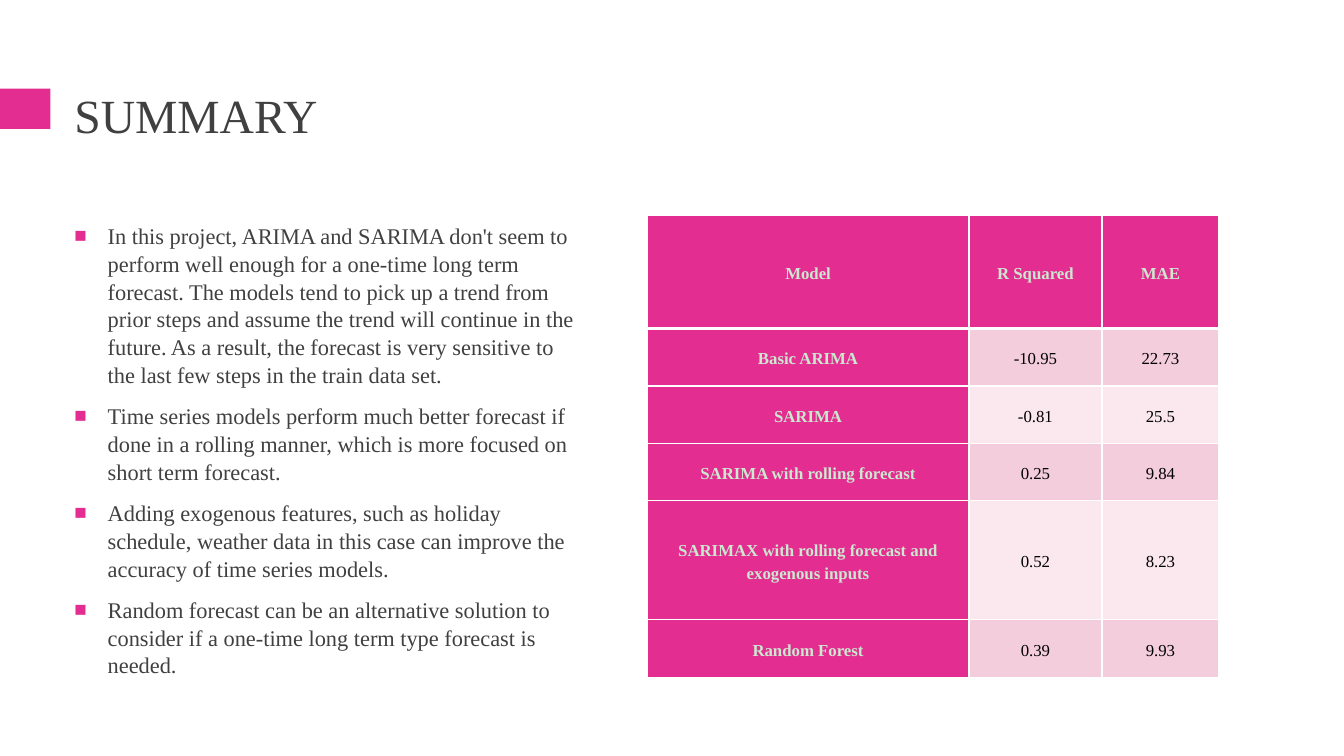
from lxml import etree
from pptx import Presentation
from pptx.dml.color import RGBColor
from pptx.enum.shapes import MSO_SHAPE
from pptx.enum.text import MSO_ANCHOR, PP_ALIGN
from pptx.oxml.ns import qn
from pptx.util import Inches, Pt

MIDDLE, TOP = MSO_ANCHOR.MIDDLE, MSO_ANCHOR.TOP
CENTER, LEFT = PP_ALIGN.CENTER, PP_ALIGN.LEFT
RECTANGLE = MSO_SHAPE.RECTANGLE

TITLE = "SUMMARY"
FINDINGS = [
    "In this project, ARIMA and SARIMA don't seem to perform well enough for a "
    "one-time long term forecast. The models tend to pick up a trend from prior "
    "steps and assume the trend will continue in the future. As a result, the "
    "forecast is very sensitive to the last few steps in the train data set.",
    "Time series models perform much better forecast if done in a rolling manner, "
    "which is more focused on short term forecast.",
    "Adding exogenous features, such as holiday schedule, weather data in this case "
    "can improve the accuracy of time series models.",
    "Random forecast can be an alternative solution to consider if a one-time long "
    "term type forecast is needed.",
]
SCORES = [
    ("Model", "R Squared", "MAE"),
    ("Basic ARIMA", "-10.95", "22.73"),
    ("SARIMA", "-0.81", "25.5"),
    ("SARIMA with rolling forecast", "0.25", "9.84"),
    ("SARIMAX with rolling forecast and exogenous inputs", "0.52", "8.23"),
    ("Random Forest", "0.39", "9.93"),
]
COLORS = {
    "accent": "E32D91", "text": "404040", "heading": "CCE8CF", "value": "000000",
    "odd": "F4CDDC", "even": "FAE8EE", "paper": "FFFFFF",
}
FONT = "Times New Roman"
MARGIN, CONTENT_TOP = 0.64, 2.14
TABLE_LEFT = 6.42
COLUMN_WIDTHS = (3.19, 1.32, 1.16)
ROW_HEIGHT = 0.57
TALL_ROWS = {0: 1.12, 4: 1.18}
INDENT = Inches(0.33)


def rgb(name):
    """Return the palette colour of that name."""
    return RGBColor.from_string(COLORS[name])


def write(paragraph, text, size, color, bold=False, align=LEFT):
    """Fill a paragraph and set its font."""
    paragraph.text = text
    paragraph.alignment = align
    font = paragraph.font
    font.name, font.size, font.bold = FONT, Pt(size), bold
    font.color.rgb = rgb(color)


def space(paragraph, before, after, lines):
    """Set the gaps around a paragraph and between its lines."""
    paragraph.space_before, paragraph.space_after = Pt(before), Pt(after)
    paragraph.line_spacing = lines


def add_box(slide, box, anchor):
    """Add a wrapping text box and return its text frame."""
    frame = slide.shapes.add_textbox(*map(Inches, box)).text_frame
    frame.word_wrap, frame.vertical_anchor = True, anchor
    return frame


def add_bullet(paragraph):
    """Give a paragraph a hanging square bullet in the accent colour."""
    props = paragraph._p.get_or_add_pPr()
    props.set("marL", str(INDENT))
    props.set("indent", str(-INDENT))
    bullet_parts = [
        etree.Element(qn("a:buClr")),
        etree.Element(qn("a:buSzPct"), val="92000"),
        etree.Element(qn("a:buFont"), typeface="Arial"),
        etree.Element(qn("a:buChar"), char="■"),
    ]
    etree.SubElement(bullet_parts[0], qn("a:srgbClr"), val=COLORS["accent"])
    default_run = props.find(qn("a:defRPr"))
    for part in bullet_parts:
        default_run.addprevious(part)


def add_borders(cell, bottom, top):
    """Draw the cell's borders; bottom and top are widths in points."""
    props = cell._tc.get_or_add_tcPr()
    widths = {"a:lnL": 1, "a:lnR": 1, "a:lnT": top, "a:lnB": bottom}
    for position, (side, width) in enumerate(widths.items()):
        line = etree.Element(qn(side), w=str(Pt(width)))
        fill = etree.SubElement(line, qn("a:solidFill"))
        etree.SubElement(fill, qn("a:srgbClr"), val=COLORS["paper"])
        props.insert(position, line)


def fill_cell(cell, text, row, column):
    """Write and colour one score cell by its place in the table."""
    heading = row == 0 or column == 0
    cell.vertical_anchor = MIDDLE
    cell.margin_top = cell.margin_bottom = 0
    paragraph = cell.text_frame.paragraphs[0]
    write(paragraph, text, 12, "heading" if heading else "value", heading, CENTER)
    space(paragraph, 6, 6, 1.2)
    cell.fill.solid()
    band = "odd" if row % 2 else "even"
    cell.fill.fore_color.rgb = rgb("accent" if heading else band)
    add_borders(cell, bottom=3 if row == 0 else 1, top=3 if row == 1 else 1)


def add_scores(slide):
    """Add the table of model scores."""
    heights = [TALL_ROWS.get(row, ROW_HEIGHT) for row in range(len(SCORES))]
    box = (TABLE_LEFT, CONTENT_TOP, sum(COLUMN_WIDTHS), sum(heights))
    table = slide.shapes.add_table(
        len(heights), len(COLUMN_WIDTHS), *map(Inches, box)).table
    for column, width in zip(table.columns, COLUMN_WIDTHS):
        column.width = Inches(width)
    for row, height in zip(table.rows, heights):
        row.height = Inches(height)
    for row, scores in enumerate(SCORES):
        for column, text in enumerate(scores):
            fill_cell(table.cell(row, column), text, row, column)


prs = Presentation()
prs.slide_width, prs.slide_height = Inches(13.33), Inches(7.5)
slide = prs.slides.add_slide(prs.slide_layouts[6])
slide.background.fill.solid()
slide.background.fill.fore_color.rgb = rgb("paper")

tab = slide.shapes.add_shape(RECTANGLE, *map(Inches, (0, 0.88, 0.5, 0.4)))
tab.shadow.inherit = False
tab.fill.solid()
tab.fill.fore_color.rgb = rgb("accent")
tab.line.fill.background()

findings = add_box(slide, (MARGIN, CONTENT_TOP, 5.18, 4.89), TOP)
for number, finding in enumerate(FINDINGS):
    paragraph = findings.add_paragraph() if number else findings.paragraphs[0]
    write(paragraph, finding, 16, "text")
    space(paragraph, 3.2, 6, 1.04)
    add_bullet(paragraph)

title = add_box(slide, (MARGIN, 0.77, 12.06, 0.81), MIDDLE).paragraphs[0]
write(title, TITLE, 34, "text")
space(title, 0, 0, 0.9)

add_scores(slide)
prs.save("out.pptx")
